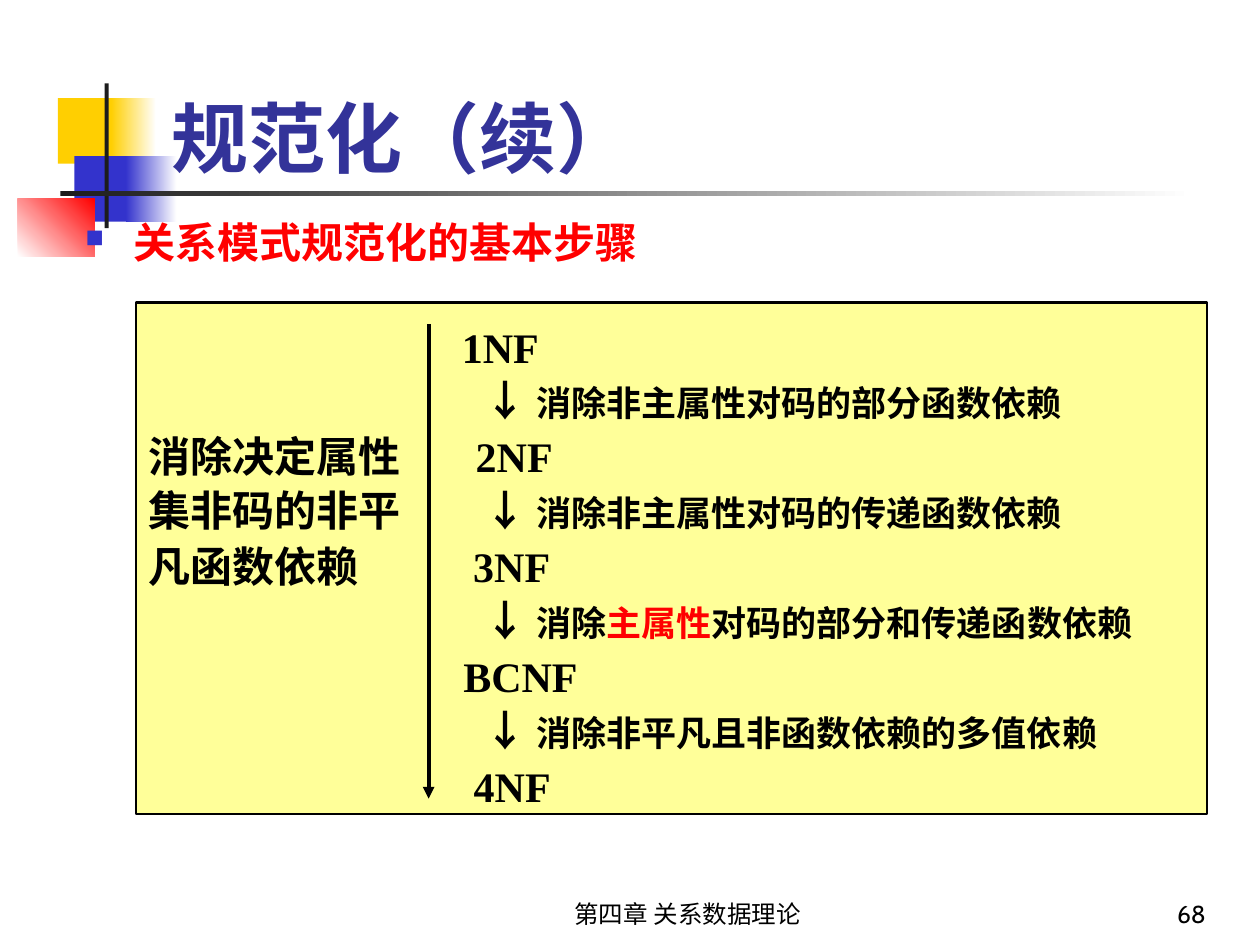
from lxml import etree
from pptx import Presentation
from pptx.dml.color import RGBColor
from pptx.enum.shapes import MSO_CONNECTOR, MSO_SHAPE
from pptx.enum.text import MSO_ANCHOR, PP_ALIGN
from pptx.oxml.ns import qn
from pptx.util import Cm, Pt

RECTANGLE = MSO_SHAPE.RECTANGLE
STRAIGHT = MSO_CONNECTOR.STRAIGHT
TOP, BOTTOM = MSO_ANCHOR.TOP, MSO_ANCHOR.BOTTOM
LEFT, CENTER, RIGHT = PP_ALIGN.LEFT, PP_ALIGN.CENTER, PP_ALIGN.RIGHT

SERIF, SANS = "Times New Roman", "Cabin"
BLACK, RED, BLUE, YELLOW = "000000", "FF0000", "3333CC", "FFCF01"
WHITE, DARK, NAVY, CREAM = "FFFFFF", "1C1C1C", "333399", "FFFF99"

DECORATIONS = [
    (1.17, 1.98, 1.22, 1.32, [YELLOW], 0),
    (2.24, 1.98, 0.91, 1.32, [YELLOW, WHITE], 0),
    (1.50, 3.15, 1.17, 1.32, [BLUE], 0),
    (2.54, 3.15, 1.02, 1.32, [BLUE, WHITE], 0),
    (0.36, 4.01, 1.55, 1.17, [WHITE, RED], 45),
    (2.11, 1.68, 0.08, 2.92, [DARK], 0),
    (1.22, 3.86, 22.86, 0.10, [DARK, WHITE], 0),
]

LABELS = [
    ("规范化（续）", (3.20, 0.64, 21.36, 3.18), SERIF, 44, NAVY, True, LEFT, BOTTOM),
    ("关系模式规范化的基本步骤", (1.47, 4.24, 23.06, 1.27), SERIF, 24, RED, True, LEFT, TOP),
    ("第四章 关系数据理论", (9.32, 17.58, 9.09, 1.27), SANS, 14, BLACK, False, CENTER, BOTTOM),
    ("68", (19.05, 17.58, 5.51, 1.27), SANS, 14, BLACK, False, RIGHT, BOTTOM),
]

FORMS = [("1NF", 6.32), ("2NF", 6.60), ("3NF", 6.55), ("BCNF", 6.35), ("4NF", 6.56)]
STEPS = [
    [("消除非主属性对码的部分函数依赖", BLACK)],
    [("消除非主属性对码的传递函数依赖", BLACK)],
    [("消除", BLACK), ("主属性", RED), ("对码的部分和传递函数依赖", BLACK)],
    [("消除非平凡且非函数依赖的多值依赖", BLACK)],
]
SIDE_NOTE = {2: "消除决定属性", 3: "集非码的非平", 4: "凡函数依赖"}
ARROW_TAB, STEP_TAB = 6.77, 7.82
PANEL = (2.74, 6.10, 21.59, 10.31)
ARROW_X, ARROW_TOP, ARROW_BOTTOM = 8.64, 6.53, 16.10


def rgb(value):
    return RGBColor.from_string(value)


def add_rectangle(page, area, colors, angle=0):
    shape = page.shapes.add_shape(RECTANGLE, *map(Cm, area))
    shape.shadow.inherit = False
    shape.line.fill.background()
    if len(colors) == 1:
        shape.fill.solid()
        shape.fill.fore_color.rgb = rgb(colors[0])
    else:
        shape.fill.gradient()
        shape.fill.gradient_angle = angle
        for stop, color in zip(shape.fill.gradient_stops, colors):
            stop.color.rgb = rgb(color)
    return shape


def set_font(font, name, size, color, bold):
    font.name, font.size, font.bold = name, Pt(size), bold
    font.color.rgb = rgb(color)


def add_label(page, text, area, name, size, color, bold, align, anchor):
    box = page.shapes.add_textbox(*map(Cm, area))
    box.text_frame.word_wrap = True
    box.text_frame.vertical_anchor = anchor
    para = box.text_frame.paragraphs[0]
    para.text = text
    para.alignment = align
    return para, (name, size, color, bold)


def add_bullet(para):
    props = para._p.get_or_add_pPr()
    props.set("marL", str(Cm(0.97)))
    props.set("indent", str(-Cm(0.97)))
    color = etree.SubElement(props, qn("a:buClr"))
    etree.SubElement(color, qn("a:srgbClr"), val=BLUE)
    etree.SubElement(props, qn("a:buSzPct"), val="60000")
    etree.SubElement(props, qn("a:buChar"), char="■")


def add_tabs(para, stops):
    tabs = etree.SubElement(para._p.get_or_add_pPr(), qn("a:tabLst"))
    for stop in stops:
        etree.SubElement(tabs, qn("a:tab"), pos=str(Cm(stop)), algn="l")


def add_row(para, index):
    note = SIDE_NOTE.get(index, "")
    if index:
        para.line_spacing = 0.9
        para.space_before = Pt(5 if index % 2 else 6)
    if index % 2:
        add_tabs(para, [ARROW_TAB, STEP_TAB])
        set_font(para.font, SERIF, 24, BLACK, True)
        para.add_run().text = f"{note}\t↓\t"
        for text, color in STEPS[index // 2]:
            span = para.add_run()
            span.text = text
            span.font.size = Pt(20)
            span.font.color.rgb = rgb(color)
    else:
        form, stop = FORMS[index // 2]
        add_tabs(para, [stop])
        set_font(para.font, SERIF, 24, BLACK, True)
        para.add_run().text = f"{note}\t{form}"


def add_panel(page):
    panel = add_rectangle(page, PANEL, [CREAM])
    panel.line.color.rgb = rgb(BLACK)
    panel.line.width = Pt(1.5)
    frame = panel.text_frame
    frame.word_wrap = True
    frame.vertical_anchor = TOP
    frame.margin_top = Cm(0.38)
    for index in range(len(FORMS) + len(STEPS)):
        para = frame.add_paragraph() if index else frame.paragraphs[0]
        para.alignment = LEFT
        add_row(para, index)


def add_down_arrow(page):
    arrow = page.shapes.add_connector(
        STRAIGHT, Cm(ARROW_X), Cm(ARROW_TOP), Cm(ARROW_X), Cm(ARROW_BOTTOM))
    arrow.line.color.rgb = rgb(BLACK)
    arrow.line.width = Pt(2.25)
    etree.SubElement(arrow.line._get_or_add_ln(), qn("a:tailEnd"), type="triangle")
    etree.SubElement(arrow._element.spPr, qn("a:effectLst"))


def main():
    deck = Presentation()
    deck.slide_width, deck.slide_height = Cm(25.4), Cm(19.05)
    page = deck.slides.add_slide(deck.slide_layouts[6])
    for *area, colors, angle in DECORATIONS:
        add_rectangle(page, area, colors, angle)
    for label in LABELS:
        para, style = add_label(page, *label)
        if label is LABELS[1]:
            add_bullet(para)
        set_font(para.font, *style)
    add_panel(page)
    add_down_arrow(page)
    deck.save("out.pptx")


if __name__ == "__main__":
    main()
